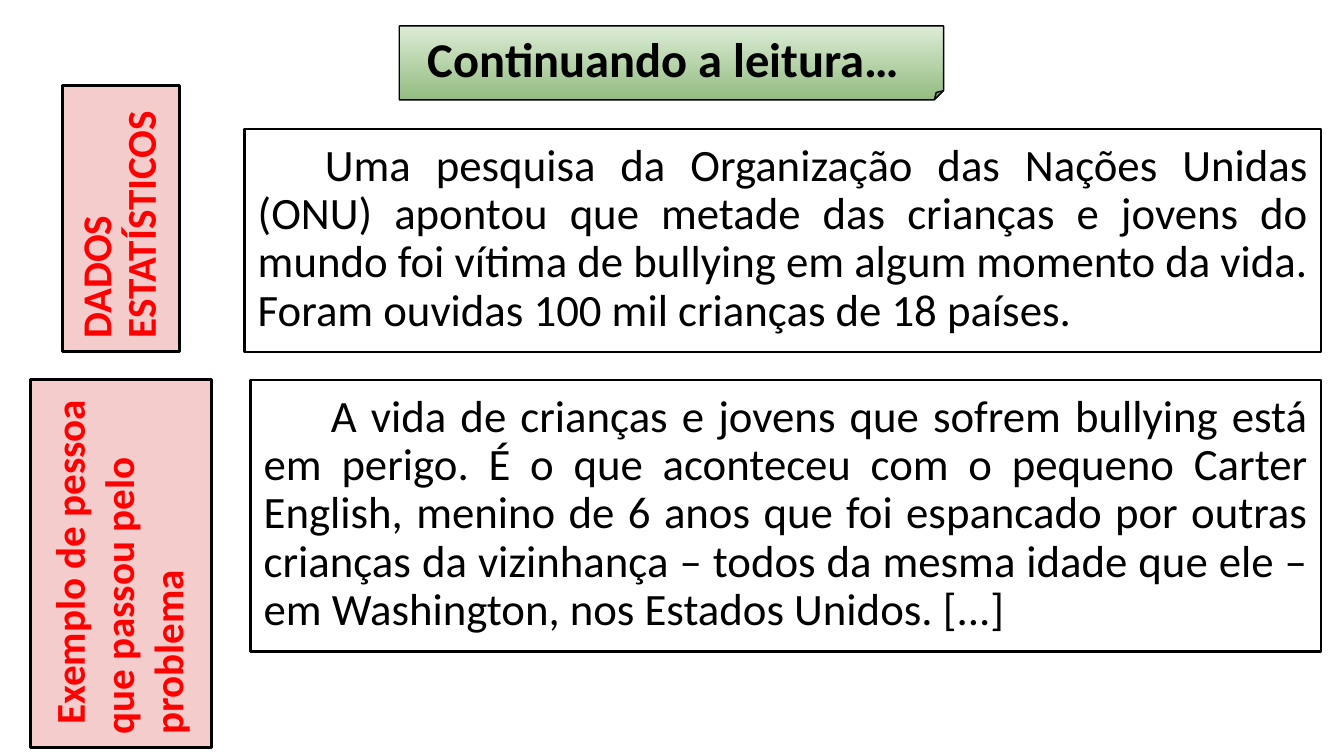
from dataclasses import dataclass
from typing import Optional

from lxml import etree
from pptx import Presentation
from pptx.dml.color import RGBColor
from pptx.enum.shapes import MSO_SHAPE
from pptx.enum.text import MSO_ANCHOR, PP_ALIGN
from pptx.oxml.ns import qn
from pptx.util import Pt

RECT, FOLDED = MSO_SHAPE.RECTANGLE, MSO_SHAPE.FOLDED_CORNER
TOP, MIDDLE = MSO_ANCHOR.TOP, MSO_ANCHOR.MIDDLE
LEFT, CENTER, JUSTIFY = PP_ALIGN.LEFT, PP_ALIGN.CENTER, PP_ALIGN.JUSTIFY

COLORS = {
    "black": "000000",
    "red": "FF0000",
    "pink": "F4CCCC",
    "light": "DCECD5",
    "green": "93BC81",
}


@dataclass
class Box:
    text: str
    left: float
    top: float
    width: float
    height: float
    size: float = 24
    color: str = "black"
    bold: bool = False
    fill: Optional[str] = None
    turn: float = 0
    align: PP_ALIGN = JUSTIFY
    indent: float = 0
    spacing: float = 0.9
    kind: MSO_SHAPE = RECT
    anchor: MSO_ANCHOR = TOP
    border: float = 1.5
    insets: tuple[float, float, float, float] = (7.2, 7.2, 7.2, 7.2)


def rgb(name: str) -> RGBColor:
    return RGBColor.from_string(COLORS[name])


def draw_box(slide, box: Box):
    shape = slide.shapes.add_shape(
        box.kind, Pt(box.left), Pt(box.top), Pt(box.width), Pt(box.height))
    shape.rotation = box.turn
    shape.shadow.inherit = False
    shape.line.color.rgb = rgb("black")
    shape.line.width = Pt(box.border)
    if box.fill:
        shape.fill.solid()
        shape.fill.fore_color.rgb = rgb(box.fill)
    else:
        shape.fill.background()

    frame = shape.text_frame
    frame.word_wrap = True
    frame.vertical_anchor = box.anchor
    (frame.margin_left, frame.margin_top,
     frame.margin_right, frame.margin_bottom) = map(Pt, box.insets)

    para = frame.paragraphs[0]
    para.text = box.text
    para.alignment = box.align
    para.line_spacing = box.spacing
    if box.indent:
        props = para._p.get_or_add_pPr()
        props.set("marL", "0")
        props.set("indent", str(Pt(box.indent)))
    para.font.name = "Calibri"
    para.font.size = Pt(box.size)
    para.font.bold = box.bold
    para.font.color.rgb = rgb(box.color)
    return shape


def shade(shape, first: str, last: str) -> None:
    """Fill a shape with a gradient from top to bottom."""
    shape.fill.gradient()
    shape.fill.gradient_angle = 270
    for stop, name, place in zip(shape.fill.gradient_stops, (first, last), (0, 1)):
        stop.color.rgb = rgb(name)
        stop.position = place


def set_fold(shape, share: float) -> None:
    """Set the size of a folded corner, as a share of the shorter side."""
    geom = shape._element.spPr.find(qn("a:prstGeom"))
    guides = geom.find(qn("a:avLst"))
    if guides is None:
        guides = etree.SubElement(geom, qn("a:avLst"))
    etree.SubElement(guides, qn("a:gd"), name="adj",
                     fmla=f"val {round(share * 100000)}")


BODIES = [
    Box("Uma pesquisa da Organização das Nações Unidas (ONU) apontou que metade "
        "das crianças e jovens do mundo foi vítima de bullying em algum momento "
        "da vida. Foram ouvidas 100 mil crianças de 18 países.",
        131, 69.1, 576.7, 119.5, indent=36),
    Box("A vida de crianças e jovens que sofrem bullying está em perigo. É o que "
        "aconteceu com o pequeno Carter English, menino de 6 anos que foi "
        "espancado por outras crianças da vizinhança – todos da mesma idade que "
        "ele – em Washington, nos Estados Unidos. [...]",
        134.2, 203.6, 573.5, 145.4, indent=36),
]

# The wider right inset moves the heading slightly left of centre
TITLE = Box("Continuando a leitura…", 213.9, 13.9, 291.6, 39.6, size=26,
            bold=True, align=CENTER, spacing=1, kind=FOLDED, anchor=MIDDLE,
            border=0.75, insets=(8.6, 5, 16.4, 5))

LABELS = [
    Box("DADOS ESTATÍSTICOS", -6.5, 85.7, 142.6, 62.6, size=22, color="red",
        bold=True, fill="pink", turn=270),
    Box("Exemplo de pessoa que passou pelo problema", -33.8, 253.4, 197.3, 97.2,
        size=22, color="red", bold=True, fill="pink", turn=270, align=LEFT,
        indent=5.4, spacing=1),
]


def main() -> None:
    deck = Presentation()
    deck.slide_width, deck.slide_height = Pt(720), Pt(405)
    slide = deck.slides.add_slide(deck.slide_layouts[6])

    # Body texts
    for body in BODIES:
        draw_box(slide, body)

    # Heading
    title = draw_box(slide, TITLE)
    set_fold(title, 0.125)
    shade(title, "light", "green")

    # Side labels, reading upwards
    for label in LABELS:
        draw_box(slide, label)

    deck.save("out.pptx")


if __name__ == "__main__":
    main()
